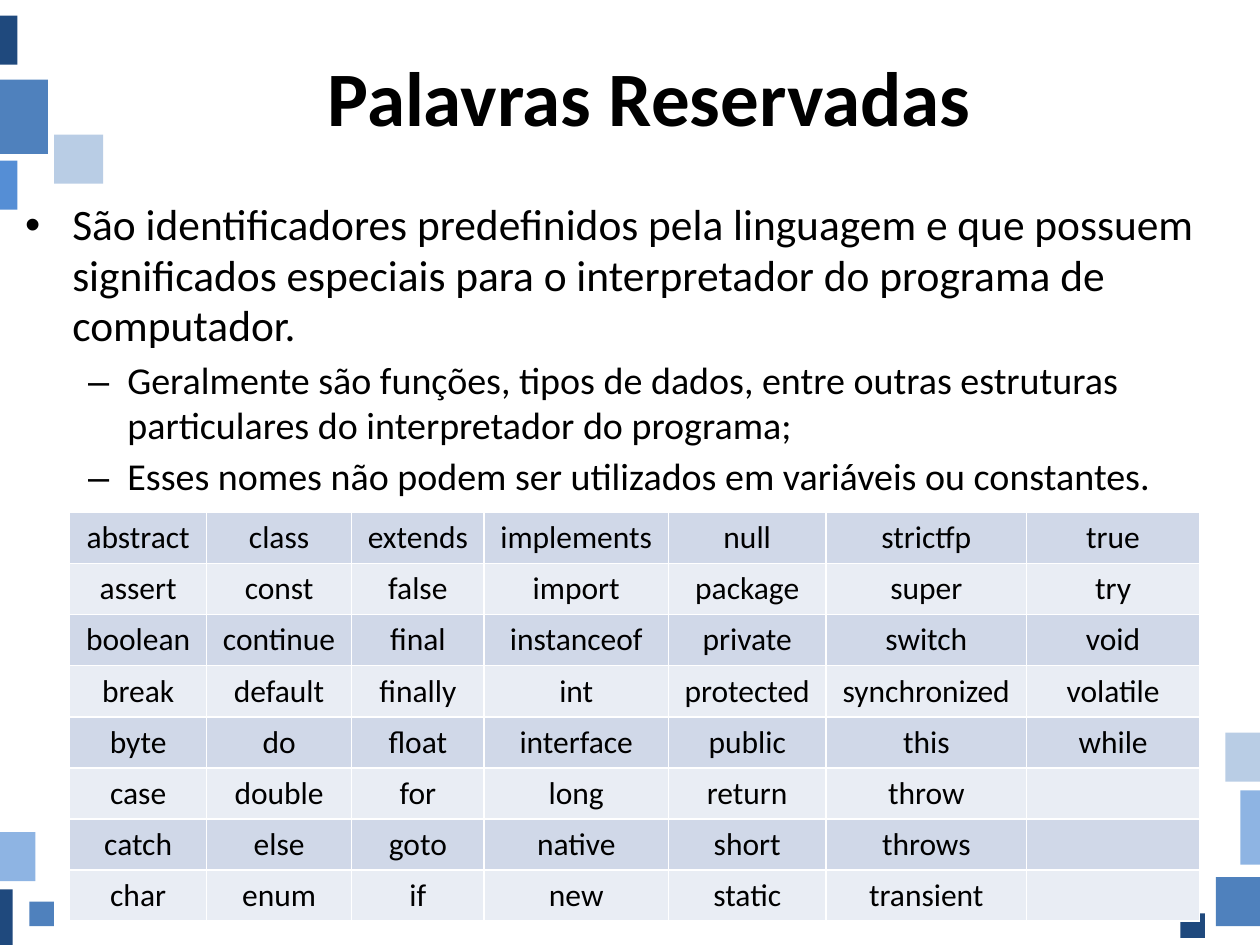
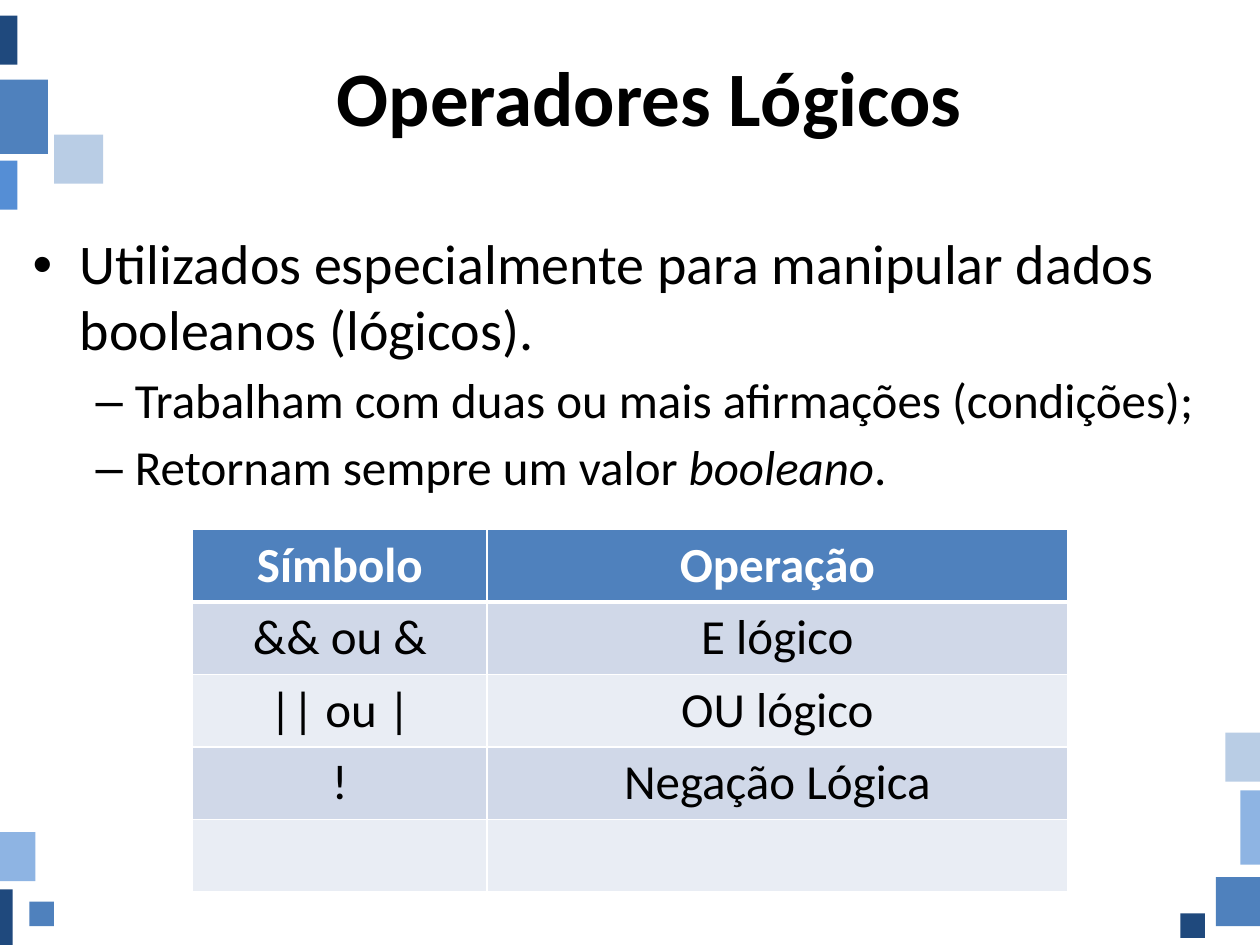
from dataclasses import dataclass

from lxml import etree
from pptx import Presentation
from pptx.dml.color import RGBColor
from pptx.enum.shapes import MSO_SHAPE
from pptx.enum.text import MSO_ANCHOR, PP_ALIGN
from pptx.oxml.ns import qn
from pptx.slide import Slide
from pptx.text.text import TextFrame
from pptx.util import Pt

RECT = MSO_SHAPE.RECTANGLE
MIDDLE = MSO_ANCHOR.MIDDLE
CENTER = PP_ALIGN.CENTER


@dataclass(frozen=True)
class Theme:
    font: str = "Calibri"
    black: str = "000000"
    white: str = "FFFFFF"
    navy: str = "1F497D"
    blue: str = "4F81BD"
    bright: str = "558ED5"
    sky: str = "8EB4E3"
    pale: str = "B9CDE5"
    bands: tuple[str, str] = ("D0D8E8", "E9EDF4")
    title: float = 44
    leading: float = 0.97


@dataclass(frozen=True)
class Box:
    left: float
    top: float
    width: float
    height: float

    def points(self) -> tuple[Pt, Pt, Pt, Pt]:
        return Pt(self.left), Pt(self.top), Pt(self.width), Pt(self.height)


@dataclass(frozen=True)
class Tile:
    box: Box
    color: str


@dataclass(frozen=True)
class Level:
    mark: str
    left: float
    hang: float


@dataclass(frozen=True)
class Body:
    box: Box
    sizes: tuple[float, float]
    items: tuple[tuple[int, str], ...]


@dataclass(frozen=True)
class Grid:
    left: float
    top: float
    widths: tuple[float, ...]
    height: float
    size: float
    rows: list[tuple[str, ...]]
    header: bool


@dataclass(frozen=True)
class Page:
    title: str
    body: Body
    grid: Grid


THEME = Theme()
TITLE = Box(31, 9.4, 680.4, 90)
LEVELS = (Level("•", 27, 27), Level("–", 58.5, 22.5))
TILES = (
    Tile(Box(0, 9, 10, 28), THEME.navy),
    Tile(Box(0, 45.5, 27.4, 42.5), THEME.blue),
    Tile(Box(0, 91.8, 10, 28), THEME.bright),
    Tile(Box(31, 77, 28, 28), THEME.pale),
    Tile(Box(694.8, 501.2, 25.2, 28), THEME.blue),
    Tile(Box(708.8, 451.6, 11.2, 42.5), THEME.sky),
    Tile(Box(700.2, 418.7, 19.8, 28), THEME.pale),
    Tile(Box(674.5, 522, 14, 14), THEME.navy),
    Tile(Box(0, 508.3, 7.2, 31.7), THEME.navy),
    Tile(Box(0, 475.6, 20.2, 28), THEME.sky),
    Tile(Box(16.8, 515.2, 14, 14), THEME.blue),
)
WORDS = (
    "abstract assert boolean break byte case catch char",
    "class const continue default do double else enum",
    "extends false final finally float for goto if",
    "implements import instanceof int interface long native new",
    "null package private protected public return short static",
    "strictfp super switch synchronized this throw throws transient",
    "true try void volatile while",
)
DEPTH = 8


def word_rows() -> list[tuple[str, ...]]:
    cols = [text.split() for text in WORDS]
    return list(zip(*(col + [""] * (DEPTH - len(col)) for col in cols)))


PAGES = (
    Page(
        "Palavras Reservadas",
        Body(
            Box(7.2, 111, 704.2, 183),
            (24.8, 21.7),
            (
                (0, "São identificadores predefinidos pela linguagem e que possuem "
                    "significados especiais para o interpretador do programa de "
                    "computador."),
                (1, "Geralmente são funções, tipos de dados, entre outras estruturas "
                    "particulares do interpretador do programa;"),
                (1, "Esses nomes não podem ser utilizados em variáveis ou constantes."),
            ),
        ),
        Grid(39.8, 292.8, (78.3, 82.8, 75.8, 105.2, 90.2, 114.5, 99), 29.2, 18,
             word_rows(), False),
    ),
    Page(
        "Operadores Lógicos",
        Body(
            Box(11.5, 129.5, 697.7, 213),
            (32, 28),
            (
                (0, "Utilizados especialmente para manipular dados booleanos (lógicos)."),
                (1, "Trabalham com duas ou mais afirmações (condições);"),
                (1, "Retornam sempre um valor *booleano*."),
            ),
        ),
        Grid(110, 302.6, (168.4, 331.6), 41.4, 28,
             [
                 ("Símbolo", "Operação"),
                 ("&& ou &", "E lógico"),
                 ("|| ou |", "OU lógico"),
                 ("!", "Negação Lógica"),
                 ("", ""),
             ], True),
    ),
)


def style(para, size: float, color: str, bold: bool = False) -> None:
    font = para.font
    font.name = THEME.font
    font.size = Pt(size)
    font.bold = bold
    font.color.rgb = RGBColor.from_string(color)


def text_box(slide: Slide, box: Box) -> TextFrame:
    frame = slide.shapes.add_textbox(*box.points()).text_frame
    frame.word_wrap = True
    return frame


def draw_tile(slide: Slide, tile: Tile) -> None:
    shape = slide.shapes.add_shape(RECT, *tile.box.points())
    shape.shadow.inherit = False
    shape.fill.solid()
    shape.fill.fore_color.rgb = RGBColor.from_string(tile.color)
    shape.line.fill.background()


def draw_title(slide: Slide, text: str) -> None:
    frame = text_box(slide, TITLE)
    frame.vertical_anchor = MIDDLE
    para = frame.paragraphs[0]
    para.text = text
    para.alignment = CENTER
    style(para, THEME.title, THEME.black, True)


def draw_body(slide: Slide, body: Body) -> None:
    frame = text_box(slide, body.box)
    for num, (depth, text) in enumerate(body.items):
        para = frame.add_paragraph() if num else frame.paragraphs[0]
        level, size = LEVELS[depth], body.sizes[depth]
        para.level = depth
        para.line_spacing = THEME.leading
        para.space_before = Pt(round(size * 0.2, 1) if num else 0)
        props = para._p.get_or_add_pPr()
        props.set("marL", str(Pt(level.left)))
        props.set("indent", str(-Pt(level.hang)))
        etree.SubElement(props, qn("a:buFont"), typeface="Arial")
        etree.SubElement(props, qn("a:buChar"), char=level.mark)
        style(para, size, THEME.black)
        for part, words in enumerate(text.split("*")):
            run = para.add_run()
            run.text = words
            if part % 2:
                run.font.italic = True


def set_edges(cell, top: float, base: float) -> None:
    props = cell._tc.get_or_add_tcPr()
    edges = (("lnL", 1), ("lnR", 1), ("lnT", top), ("lnB", base))
    for num, (tag, width) in enumerate(edges):
        line = etree.Element(qn(f"a:{tag}"), w=str(Pt(width)))
        fill = etree.SubElement(line, qn("a:solidFill"))
        etree.SubElement(fill, qn("a:srgbClr"), val=THEME.white)
        props.insert(num, line)


def draw_grid(slide: Slide, grid: Grid) -> None:
    count = len(grid.rows)
    box = Box(grid.left, grid.top, sum(grid.widths), count * grid.height)
    table = slide.shapes.add_table(count, len(grid.widths), *box.points()).table
    table.first_row = grid.header
    for col, width in zip(table.columns, grid.widths):
        col.width = Pt(width)
    for row, texts in enumerate(grid.rows):
        table.rows[row].height = Pt(grid.height)
        head = grid.header and row == 0
        color = THEME.blue if head else THEME.bands[(row - grid.header) % 2]
        for col, text in enumerate(texts):
            cell = table.cell(row, col)
            cell.vertical_anchor = MIDDLE
            cell.fill.solid()
            cell.fill.fore_color.rgb = RGBColor.from_string(color)
            set_edges(cell, 3 if grid.header and row == 1 else 1, 3 if head else 1)
            para = cell.text_frame.paragraphs[0]
            para.text = text
            para.alignment = CENTER
            style(para, grid.size, THEME.white if head else THEME.black, head)


def main() -> None:
    deck = Presentation()
    deck.slide_width, deck.slide_height = Pt(720), Pt(540)
    for page in PAGES:
        slide = deck.slides.add_slide(deck.slide_layouts[6])
        for tile in TILES:
            draw_tile(slide, tile)
        draw_title(slide, page.title)
        draw_body(slide, page.body)
        draw_grid(slide, page.grid)
    deck.save("out.pptx")


if __name__ == "__main__":
    main()
